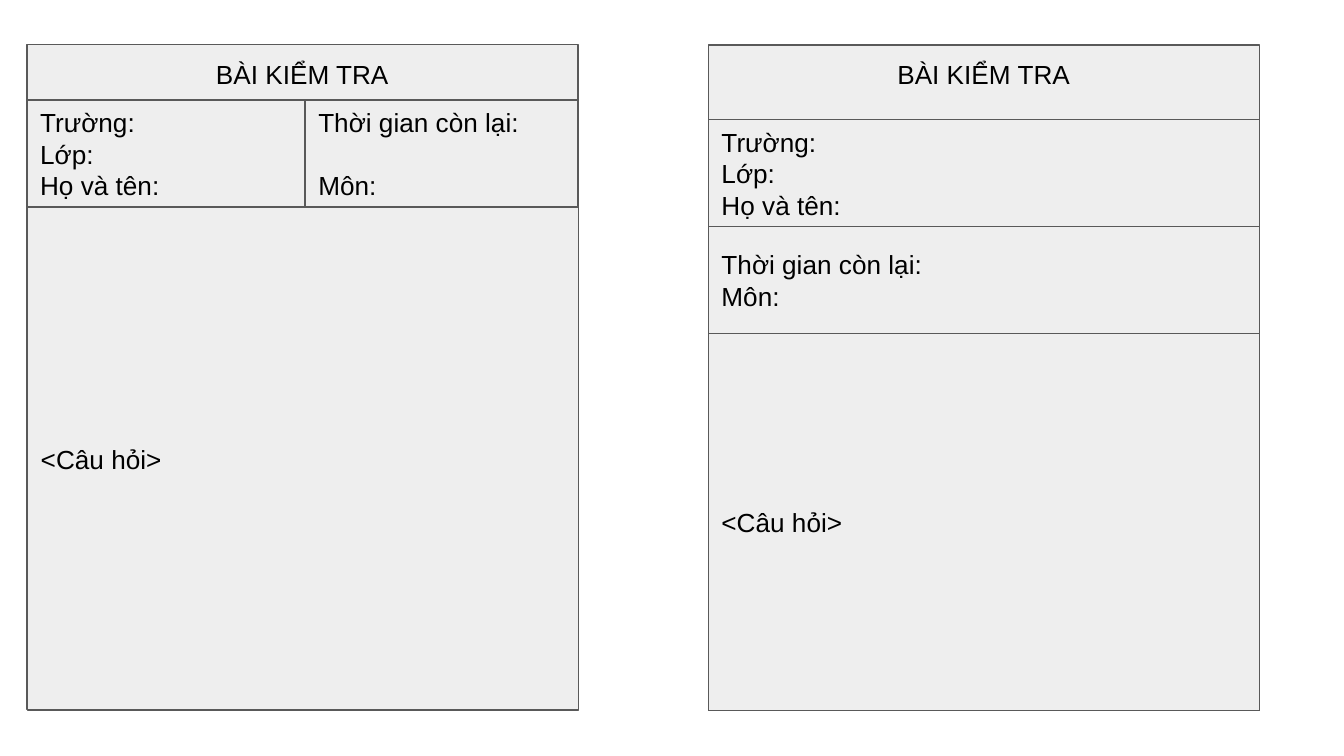
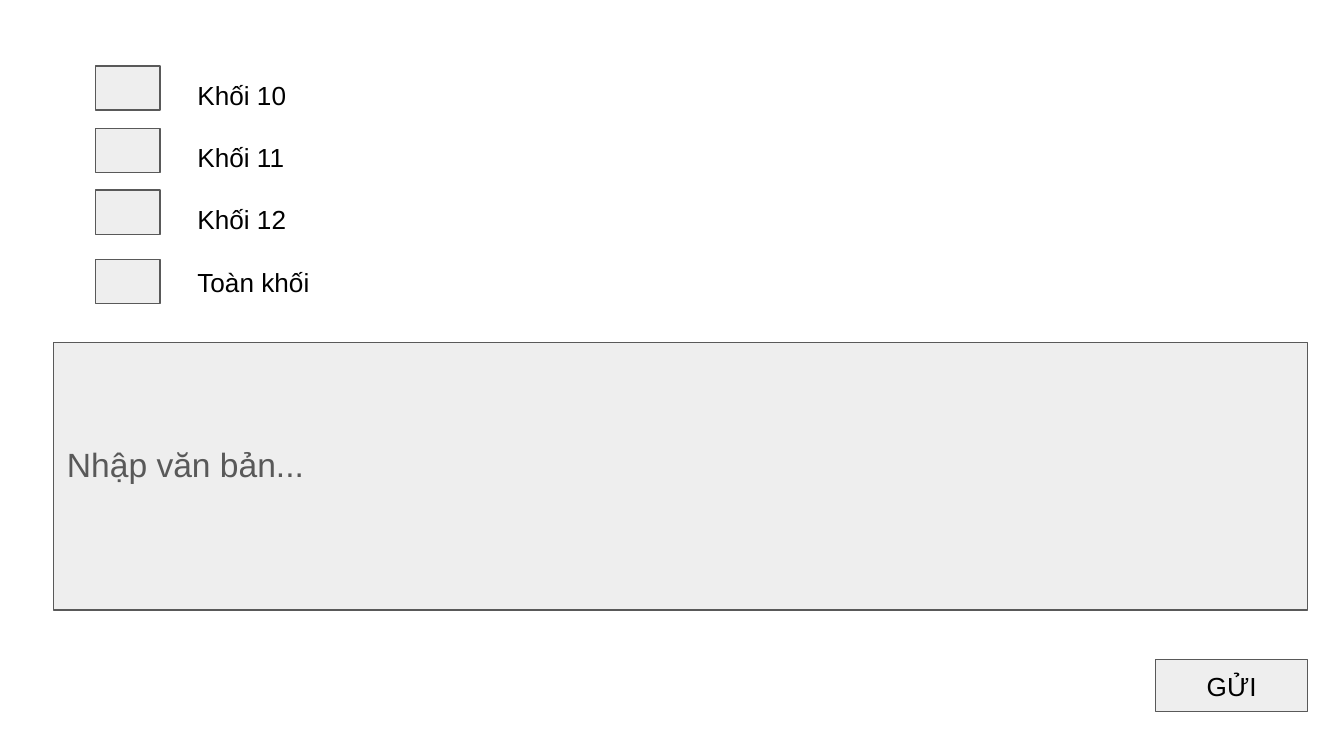
import pptx
import pptx.dml.color
import pptx.enum.shapes
import pptx.enum.text
import pptx.slide
import pptx.text.text
import pptx.util
from dataclasses import dataclass

PX = 4572
ALIGN = pptx.enum.text.PP_ALIGN
ANCHOR = pptx.enum.text.MSO_ANCHOR
RECT = pptx.enum.shapes.MSO_SHAPE.RECTANGLE


@dataclass(frozen=True)
class Theme:
    font: str = "Arial"
    body: int = 14
    prompt: int = 18
    ink: str = "000000"
    muted: str = "595959"
    panel: str = "EEEEEE"
    line: float = 0.75
    inset: int = 20


THEME = Theme()


@dataclass(frozen=True)
class Box:
    x: int
    y: int
    w: int
    h: int
    lines: tuple[str, ...] = ()
    centered: bool = False
    size: int = THEME.body
    color: str = THEME.ink
    last_gap: int = 0
    spacing: float = 1.0
    bottom: int = THEME.inset


SCHOOL = ("Trường:", "Lớp:", "Họ và tên:")
EXAM = ("Thời gian còn lại:", "Môn:")
QUESTION = ("<Câu hỏi>",)
GRADES = ("Khối 10", "Khối 11", "Khối 12", "Toàn khối")


def px(n: int) -> pptx.util.Emu:
    return pptx.util.Emu(n * PX)


def rgb(value: str) -> pptx.dml.color.RGBColor:
    return pptx.dml.color.RGBColor.from_string(value)


def write(tf: pptx.text.text.TextFrame, box: Box, anchor: ANCHOR) -> None:
    tf.word_wrap = True
    tf.vertical_anchor = anchor
    tf.margin_left = tf.margin_top = tf.margin_right = px(THEME.inset)
    tf.margin_bottom = px(box.bottom)
    for i, line in enumerate(box.lines):
        p = tf.add_paragraph() if i else tf.paragraphs[0]
        p.text = line
        p.alignment = ALIGN.CENTER if box.centered else ALIGN.LEFT
        p.line_spacing = box.spacing
        p.font.name = THEME.font
        p.font.size = pptx.util.Pt(box.size)
        p.font.color.rgb = rgb(box.color)
    if box.last_gap:
        tf.paragraphs[-1].space_before = pptx.util.Pt(box.last_gap)


def add_panel(s: pptx.slide.Slide, box: Box) -> None:
    sp = s.shapes.add_shape(RECT, px(box.x), px(box.y), px(box.w), px(box.h))
    sp.shadow.inherit = False
    sp.fill.solid()
    sp.fill.fore_color.rgb = rgb(THEME.panel)
    sp.line.color.rgb = rgb(THEME.muted)
    sp.line.width = pptx.util.Pt(THEME.line)
    if box.lines:
        write(sp.text_frame, box, ANCHOR.MIDDLE)


def add_label(s: pptx.slide.Slide, box: Box) -> None:
    sp = s.shapes.add_textbox(px(box.x), px(box.y), px(box.w), px(box.h))
    write(sp.text_frame, box, ANCHOR.TOP)


def build_exam(s: pptx.slide.Slide) -> None:
    frames = (Box(40, 66, 820, 990), Box(1054, 67, 820, 990))
    for frame in frames:
        add_panel(s, frame)
    for frame in frames:
        add_label(s, Box(frame.x, 67, frame.w, 112, ("BÀI KIỂM TRA",), centered=True))
    for panel in (
        Box(40, 149, 414, 160, SCHOOL),
        Box(454, 149, 406, 160, EXAM, last_gap=17),
        Box(1054, 178, 820, 160, SCHOOL),
        Box(1054, 337, 820, 160, EXAM),
        Box(41, 308, 820, 749, QUESTION),
        Box(1054, 496, 820, 561, QUESTION),
    ):
        add_panel(s, panel)


def build_message(s: pptx.slide.Slide) -> None:
    last = len(GRADES) - 1
    for i, grade in enumerate(GRADES):
        y = 98 + round(i * 278 / last)
        add_panel(s, Box(142, y + (10 if i == last else 0), 96, 66))
        add_label(s, Box(274, y, 214 if i == last else 176, 66, (grade,)))
    add_panel(s, Box(80, 510, 1866, 398, ("Nhập văn bản...",), size=THEME.prompt,
                     color=THEME.muted, spacing=1.15, bottom=66))
    add_panel(s, Box(1720, 982, 226, 77, ("GỬI",), centered=True))


def main() -> None:
    prs = pptx.Presentation()
    prs.slide_width, prs.slide_height = px(2000), px(1125)
    for build in (build_exam, build_message):
        build(prs.slides.add_slide(prs.slide_layouts[6]))
    prs.save("out.pptx")


if __name__ == "__main__":
    main()
